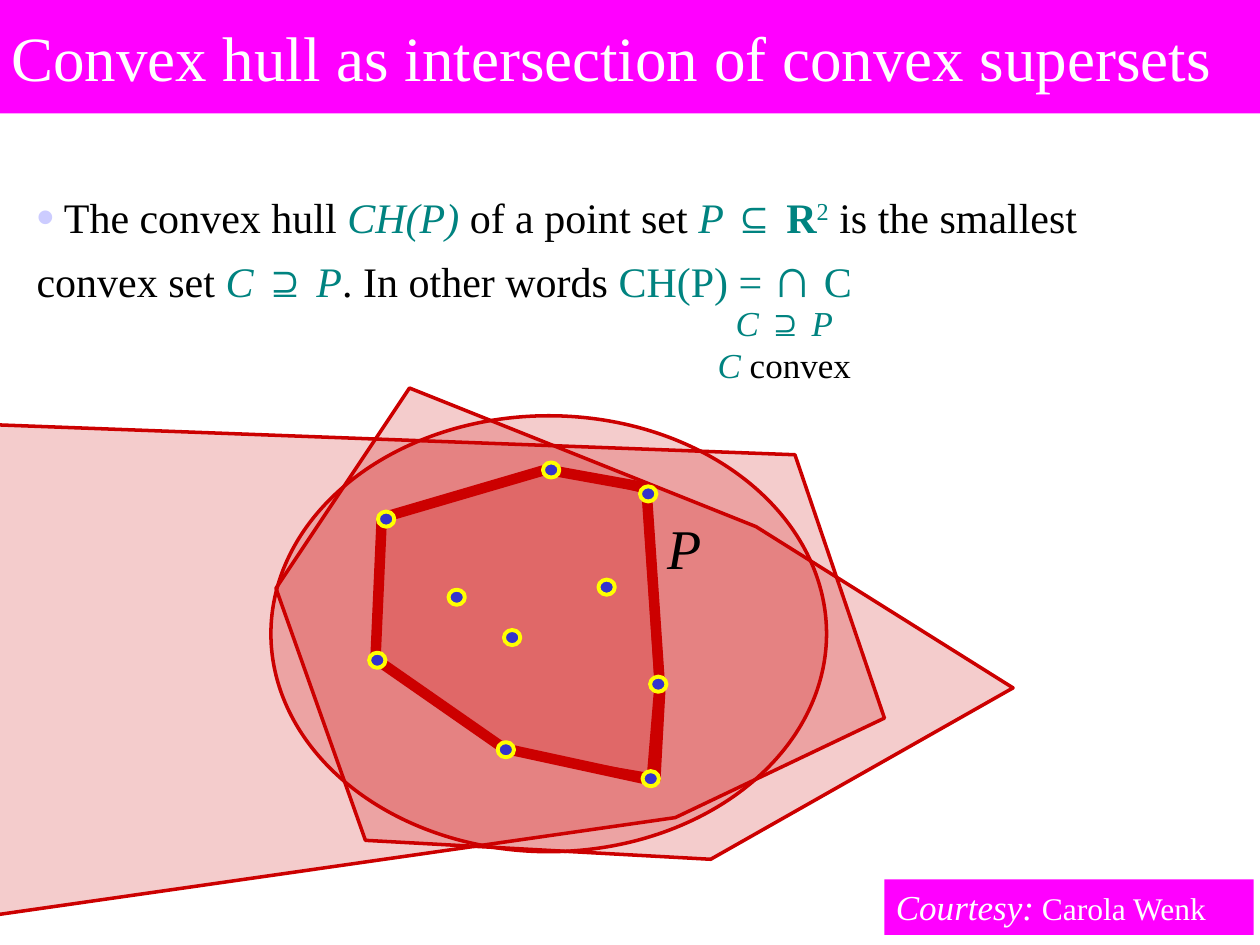
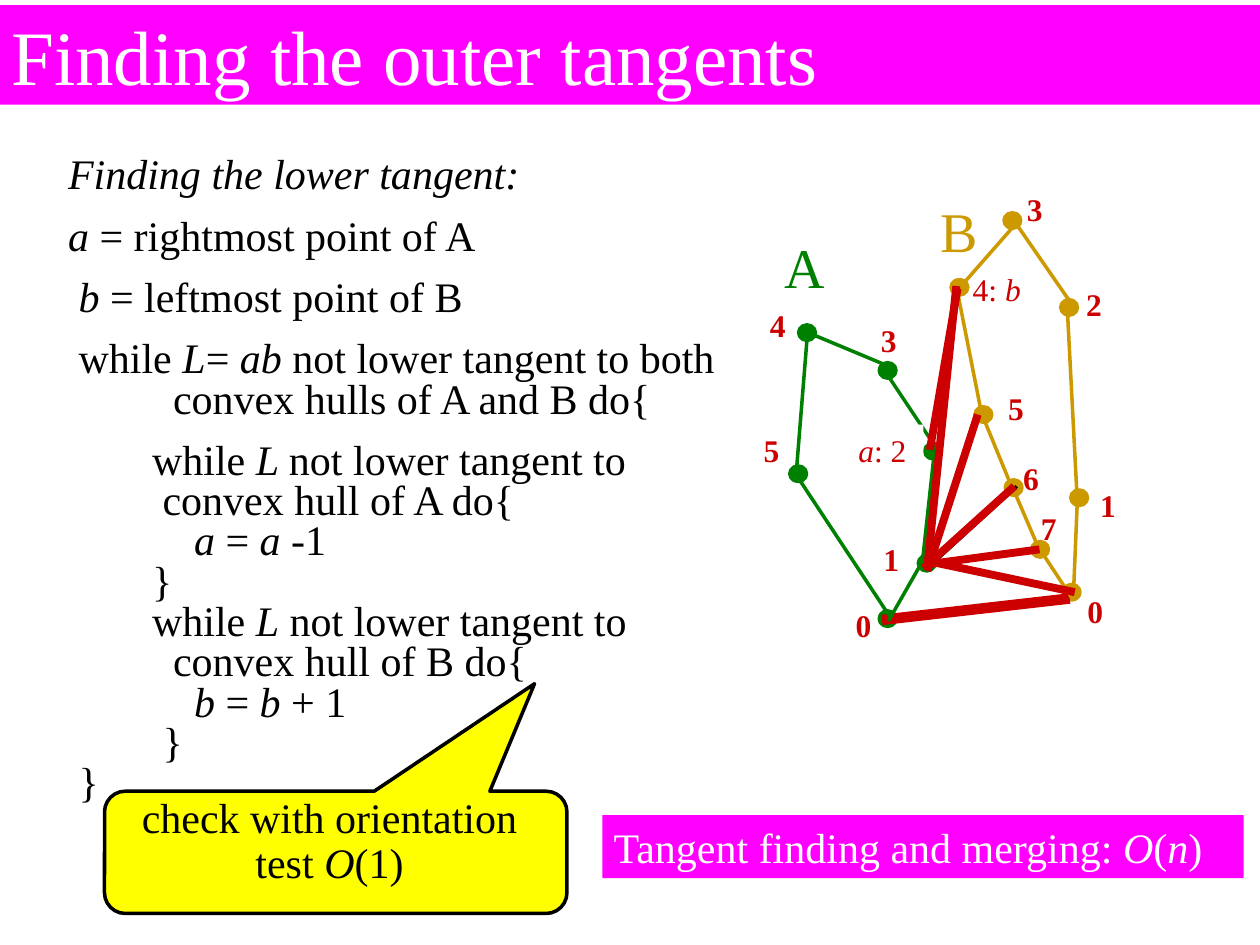
from dataclasses import dataclass
from typing import NamedTuple

import pptx
import pptx.dml.color
import pptx.enum.shapes
import pptx.enum.text
import pptx.oxml.ns
import pptx.util
from lxml import etree

RGB = pptx.dml.color.RGBColor
MSO_SHAPE = pptx.enum.shapes.MSO_SHAPE
ALIGN = pptx.enum.text.PP_ALIGN
ANCHOR = pptx.enum.text.MSO_ANCHOR
Pt = pptx.util.Pt
qn = pptx.oxml.ns.qn

MAGENTA = RGB(0xFF, 0x00, 0xFF)
WHITE = RGB(0xFF, 0xFF, 0xFF)
BLACK = RGB(0x00, 0x00, 0x00)
RED = RGB(0xCC, 0x00, 0x00)
TEAL = RGB(0x00, 0x83, 0x80)
LILAC = RGB(0xCC, 0xCC, 0xFF)
YELLOW = RGB(0xFF, 0xFF, 0x00)
BLUE = RGB(0x33, 0x33, 0xCC)
GREEN = RGB(0x00, 0x80, 0x00)
GOLD = RGB(0xCC, 0x99, 0x00)

FONT = "Times New Roman"
COLUMNS, ROWS = 100, 75          # the slide's grid
CELL = pptx.util.Inches(0.1)
SPACE = Pt(6)                    # one step of code indentation
INSETS = (0.9, 0.5, 0.9, 0.5)
BODY_INSETS = (0.9, 0, 0.9, 1)


def emu(cells: float) -> int:
    return round(cells * CELL)


class Box(NamedTuple):
    x: float
    y: float
    w: float
    h: float

    def emu(self) -> list[int]:
        return [emu(v) for v in self]


class Point(NamedTuple):
    x: float
    y: float


@dataclass
class Label:
    text: str
    x: float
    y: float
    w: float = 3.1
    fill: RGB | None = None


@dataclass
class CodeLine:
    text: str
    indent: int = 0
    gap: int = 0


def write(p, text: str, *, size: float = 24, color: RGB = BLACK,
          bold: bool = False, baseline: int = 0) -> None:
    """Add runs to a paragraph; asterisks switch italics on and off."""
    for i, part in enumerate(text.split("*")):
        if not part:
            continue
        r = p.add_run()
        r.text = part
        r.font.name, r.font.size = FONT, Pt(size)
        r.font.bold, r.font.italic = bold, i % 2 == 1
        r.font.color.rgb = color
        if baseline:
            r._r.get_or_add_rPr().set("baseline", str(baseline * 1000))


def set_frame(sp, insets=INSETS, anchor=ANCHOR.TOP, wrap: bool = True):
    tf = sp.text_frame
    tf.auto_size = pptx.enum.text.MSO_AUTO_SIZE.NONE
    tf.word_wrap, tf.vertical_anchor = wrap, anchor
    tf.margin_left, tf.margin_top, tf.margin_right, tf.margin_bottom = map(emu, insets)
    return tf


def set_indent(p, left: int = 0) -> None:
    """Set the left margin and drop the inherited hanging indent."""
    pPr = p._p.get_or_add_pPr()
    pPr.set("marL", str(left))
    pPr.set("indent", "0")


def set_bullet(p, char: str | None = None, color: RGB = LILAC, percent: int = 120) -> None:
    pPr = p._p.get_or_add_pPr()
    if char is None:
        etree.SubElement(pPr, qn("a:buNone"))
        return
    clr = etree.SubElement(pPr, qn("a:buClr"))
    etree.SubElement(clr, qn("a:srgbClr"), val=str(color))
    etree.SubElement(pPr, qn("a:buSzPct"), val=str(percent * 1000))
    etree.SubElement(pPr, qn("a:buChar"), char=char)


def paint(sp, fill: RGB, line: RGB | None = None, width: float = 2,
          opacity: int = 100) -> None:
    sp.shadow.inherit = False
    sp.fill.solid()
    sp.fill.fore_color.rgb = fill
    if opacity < 100:
        clr = sp._element.spPr.find(qn("a:solidFill")).find(qn("a:srgbClr"))
        etree.SubElement(clr, qn("a:alpha"), val=str(opacity * 1000))
    if line is None:
        sp.line.fill.background()
    else:
        sp.line.color.rgb = line
        sp.line.width = Pt(width)


def add_shape(s, kind, box: Box, fill: RGB, line: RGB | None = None, **style):
    sp = s.shapes.add_shape(kind, *box.emu())
    paint(sp, fill, line, **style)
    return sp


def add_text(s, box: Box, lines: list[str], *, fill: RGB | None = None,
             align=ALIGN.LEFT, wrap: bool = True, **fmt) -> None:
    sp = s.shapes.add_textbox(*box.emu())
    if fill is not None:
        sp.fill.solid()
        sp.fill.fore_color.rgb = fill
    tf = set_frame(sp, wrap=wrap)
    for i, line in enumerate(lines):
        p = tf.add_paragraph() if i else tf.paragraphs[0]
        p.alignment = align
        write(p, line, **fmt)


def add_banner(s, box: Box, parts: list[tuple[str, float]]) -> None:
    p = set_frame(add_shape(s, MSO_SHAPE.RECTANGLE, box, MAGENTA)).paragraphs[0]
    p.alignment = ALIGN.LEFT
    for text, size in parts:
        write(p, text, size=size, color=WHITE)


def add_region(s, points: list[Point], closed: bool = True, width: float = 2) -> None:
    """Draw a see-through convex region."""
    start, *rest = [(emu(x), emu(y)) for x, y in points]
    builder = s.shapes.build_freeform(*start, scale=1.0)
    builder.add_line_segments(rest, close=closed)
    paint(builder.convert_to_shape(), RED, RED, width=width, opacity=20)


def add_line(s, a: Point, b: Point, color: RGB, width: float = 2) -> None:
    ln = s.shapes.add_connector(pptx.enum.shapes.MSO_CONNECTOR.STRAIGHT,
                                *[emu(v) for v in (*a, *b)])
    ln.line.color.rgb, ln.line.width = color, Pt(width)
    etree.SubElement(ln._element.spPr, qn("a:effectLst"))


def add_dots(s, corners: list[Point], fill: RGB, line: RGB) -> None:
    for x, y in corners:
        add_shape(s, MSO_SHAPE.OVAL, Box(x, y, 1.3, 1.2), fill, line, width=2.25)


def new_slide(prs, title: str, band: Box, title_size: float, body: Box):
    """Add a slide with its title band; return it with its body text frame."""
    s = prs.slides.add_slide(prs.slide_layouts[1])
    sp = s.shapes.title
    sp.left, sp.top, sp.width, sp.height = band.emu()
    sp.fill.solid()
    sp.fill.fore_color.rgb = MAGENTA
    p = set_frame(sp, anchor=ANCHOR.MIDDLE).paragraphs[0]
    p.alignment = ALIGN.LEFT
    write(p, title, size=title_size, color=WHITE)
    sp = s.placeholders[1]
    sp.left, sp.top, sp.width, sp.height = body.emu()
    return s, set_frame(sp, BODY_INSETS)


def build_intersection(prs) -> None:
    s, tf = new_slide(prs, "Convex hull as intersection of convex supersets",
                      Box(0, 0, COLUMNS, 9), 36, Box(2, 15.2, 91.1, 12.5))
    p = tf.paragraphs[0]
    p.space_before = Pt(0)
    set_indent(p)
    set_bullet(p, "•")
    for text, fmt in [
        (" The convex hull ", {}),
        ("*CH(P)*", {"color": TEAL}),
        (" of a point set ", {}),
        ("*P *⊆ ", {"color": TEAL}),
        ("R", {"color": TEAL, "bold": True}),
        ("2", {"color": TEAL, "baseline": 30}),
        (" is the smallest convex set ", {}),
        ("*C *⊇ *P*", {"color": TEAL}),
        (". In other words ", {}),
        ("CH(P) = ", {"color": TEAL}),
        ("∩", {"color": TEAL, "size": 32}),
        (" C", {"color": TEAL}),
    ]:
        write(p, text, **fmt)

    add_shape(s, MSO_SHAPE.OVAL, Box(21.5, 33, 44.1, 34.6), RED, RED, opacity=20)
    add_region(s, [Point(21.9, 46.7), Point(29, 66.7), Point(56.4, 68.2),
                   Point(80.4, 54.6), Point(60, 41.8), Point(32.5, 30.8)])
    add_region(s, [Point(-3.5, 33.6), Point(63.1, 36.1), Point(70.2, 57),
                   Point(53.6, 64.9), Point(-4.4, 73.2)], closed=False)

    sp = s.shapes.add_textbox(*Box(55.9, 23.4, 12.7, 7.7).emu())
    tf = set_frame(sp, wrap=False)
    p = tf.paragraphs[0]
    write(p, "*C *⊇ *P*", size=20, color=TEAL)
    q = tf.add_paragraph()
    write(q, "*C *", size=20, color=TEAL)
    write(q, "convex", size=20)
    p.alignment = q.alignment = ALIGN.CENTER

    hull = [Point(43.6, 37.2), Point(30.3, 41.1), Point(29.8, 52.3), Point(40, 59.4),
            Point(52, 62), Point(52.4, 54.8), Point(51.3, 38.7), Point(44.1, 37.4)]
    for a, b in zip(hull, hull[1:]):
        add_line(s, a, b, RED, 6)
    add_text(s, Box(52, 40.3, 4.7, 6.3), ["*P*"], size=32, align=ALIGN.CENTER, wrap=False)
    add_region(s, [Point(29.6, 52.3), Point(39.8, 59.5), Point(51.5, 61.5),
                   Point(52.1, 54.2), Point(51.1, 39), Point(43.5, 37.1),
                   Point(30.5, 41.1)], width=2.25)
    add_dots(s, [Point(30, 40.6), Point(29.3, 51.8), Point(43.1, 36.7), Point(47.5, 46),
                 Point(35.6, 46.8), Point(50.8, 38.6), Point(40, 50), Point(51.6, 53.7),
                 Point(39.5, 58.9), Point(51, 61.2)], BLUE, YELLOW)
    add_banner(s, Box(70.2, 69.8, 29.3, 4.4), [("*Courtesy:*", 20), (" Carola Wenk", 18)])


CODE = [
    CodeLine("*Finding the lower tangent:*"),
    CodeLine("*a *= rightmost point of A", 0, 12),
    CodeLine("*b *= leftmost point of B", 1, 12),
    CodeLine("while *L*= *ab* not lower tangent to both", 1, 12),
    CodeLine("convex hulls of A and B do{", 10),
    CodeLine("while *L *not lower tangent to", 8, 12),
    CodeLine("convex hull of A do{", 9),
    CodeLine("*a* = *a *-1", 12),
    CodeLine("}", 8),
    CodeLine("while *L* not lower tangent to", 8),
    CodeLine("convex hull of B do{", 10),
    CodeLine("*b *= *b* + 1", 12),
    CodeLine("}", 9),
    CodeLine("}", 1),
]

HULL_A_DOTS = [Point(63.4, 25.8), Point(62.7, 37), Point(72.9, 44.1), Point(69.8, 48.5),
               Point(73.4, 35.2), Point(69.8, 28.8)]
HULL_B_DOTS = [Point(75.5, 22.2), Point(77.4, 32.3), Point(84.2, 23.8), Point(85, 38.9),
               Point(84.4, 46.4), Point(79.8, 38.1), Point(81.9, 43), Point(79.7, 16.9)]
HULL_A_EDGES = [
    (Point(64.1, 26.3), Point(63.2, 37.5)), (Point(73.2, 44.7), Point(74.2, 35.5)),
    (Point(70.6, 29.1), Point(63.9, 26.3)), (Point(70.2, 29.4), Point(74.2, 35.4)),
    (Point(70.5, 49.3), Point(73.3, 44.4)), (Point(70.6, 48.9), Point(63, 37.4)),
]
HULL_B_EDGES = [
    (Point(82.6, 43.7), Point(85.1, 47.5)), (Point(85.2, 47.1), Point(85.5, 39.8)),
    (Point(85.5, 39.8), Point(84.7, 24.3)), (Point(80.5, 17.9), Point(76.2, 22.8)),
    (Point(82.3, 43.2), Point(80.5, 39)), (Point(77.9, 32.8), Point(80.4, 38.9)),
    (Point(77.9, 32.8), Point(75.8, 22.2)), (Point(80.4, 17.4), Point(85.1, 24.2)),
]
CANDIDATES = [
    (Point(73.8, 35.7), Point(76, 22.9)), (Point(75.9, 22.7), Point(73.6, 45)),
    (Point(73.6, 45.3), Point(77.6, 32.9)), (Point(73.3, 45.1), Point(80.5, 38.6)),
    (Point(73.5, 44.8), Point(82.5, 43.6)), (Point(73.5, 44.5), Point(85.3, 47)),
]
LABELS = [
    Label("0", 67, 47.6), Label(" *a*: 2", 66.6, 33.7, 6.7, WHITE), Label("1", 69.2, 42.4),
    Label("5", 59.7, 33.7), Label("3", 69, 25), Label("4", 60.2, 23.8),
    Label("0", 85.4, 46.5), Label("1", 86.4, 38.1), Label("2", 85.3, 22.1),
    Label("3", 80.6, 14.6), Label("4: *b*", 76.3, 20.9, 7.8), Label("5", 79.1, 30.4),
    Label("6", 80.3, 35.9), Label("7", 81.7, 39.9),
]


def build_tangents(prs) -> None:
    s, tf = new_slide(prs, "Finding the outer tangents", Box(0, 0.4, COLUMNS, 7.9), 44,
                      Box(4.5, 12.5, 56.1, 49.1))
    for i, line in enumerate(CODE):
        p = tf.add_paragraph() if i else tf.paragraphs[0]
        set_indent(p, line.indent * SPACE)
        set_bullet(p)
        p.line_spacing, p.space_before = 0.8, Pt(line.gap)
        write(p, line.text)

    callout = add_shape(s, MSO_SHAPE.ROUNDED_RECTANGULAR_CALLOUT,
                        Box(8.3, 62.8, 36.7, 9.7), YELLOW, BLACK)
    for i, value in enumerate((0.43, -1.38, 0.17)):
        callout.adjustments[i] = value
    p = set_frame(callout, (0, 0, 1, 0.5)).paragraphs[0]
    p.alignment, p.line_spacing = ALIGN.CENTER, 0.9
    write(p, "check with orientation test *O*(1)")

    add_dots(s, HULL_A_DOTS, GREEN, GREEN)
    add_dots(s, HULL_B_DOTS, GOLD, GOLD)
    add_line(s, Point(70, 49.2), Point(84.9, 47.5), RED, 6)
    for edges, color in ((HULL_A_EDGES, GREEN), (HULL_B_EDGES, GOLD)):
        for a, b in edges:
            add_line(s, a, b, color)
    for name, box, color in (("A", Box(61, 18, 5.7, 6.4), GREEN),
                             ("B", Box(73.6, 15.1, 5.1, 6.3), GOLD)):
        add_text(s, box, [name], size=32, color=color, align=ALIGN.CENTER)
    for label in LABELS:
        add_text(s, Box(label.x, label.y, label.w, 4), [label.text], fill=label.fill,
                 size=18, color=RED, bold=label.text.isdigit())
    add_line(s, Point(73.6, 45.1), Point(80.7, 38.6), BLACK)
    for a, b in CANDIDATES:
        add_line(s, a, b, RED, 4.5)
    add_banner(s, Box(47.8, 64.7, 50.9, 5),
               [("Tangent finding and merging: *O*(*n*)", 24)])


def main() -> None:
    prs = pptx.Presentation()
    prs.slide_width, prs.slide_height = emu(COLUMNS), emu(ROWS)
    build_intersection(prs)
    build_tangents(prs)
    prs.save("out.pptx")


if __name__ == "__main__":
    main()
